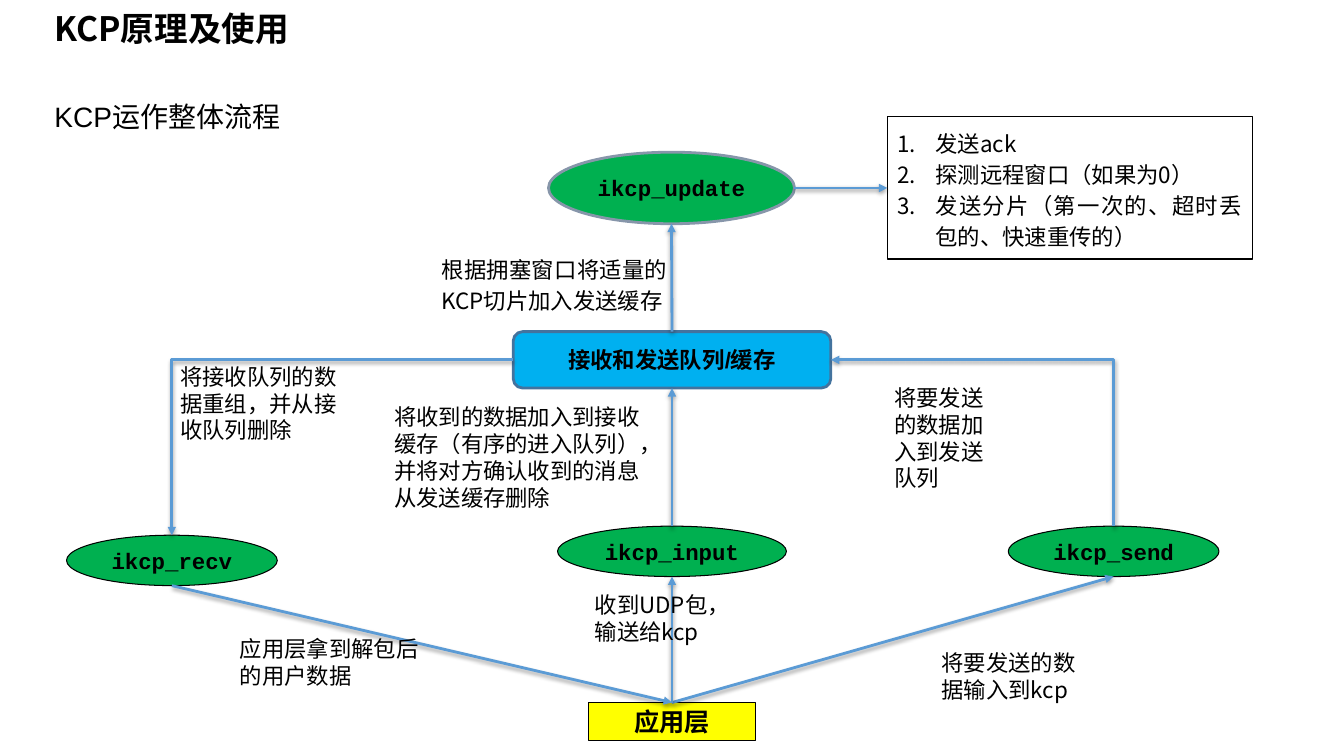
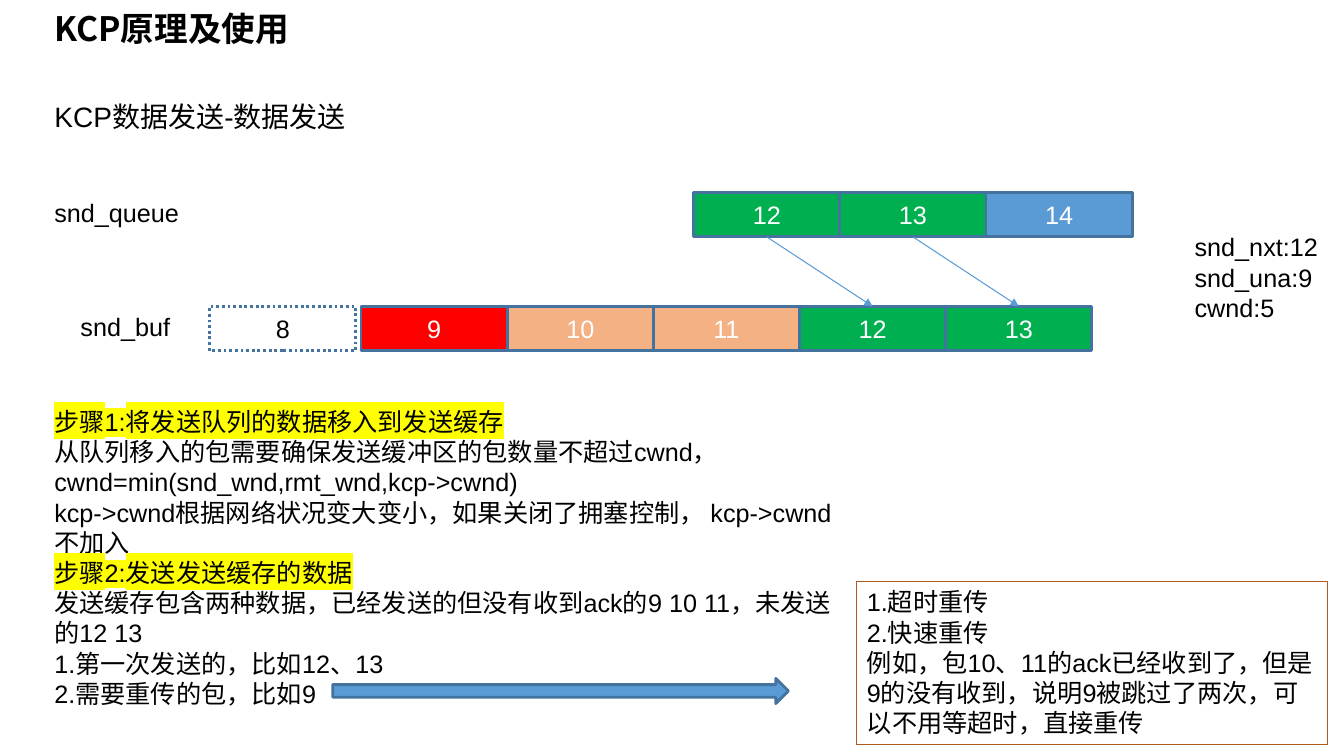
from lxml import etree
from pptx import Presentation
from pptx.dml.color import RGBColor
from pptx.enum.dml import MSO_LINE
from pptx.enum.lang import MSO_LANGUAGE_ID
from pptx.enum.shapes import MSO_CONNECTOR, MSO_SHAPE
from pptx.enum.text import MSO_ANCHOR, MSO_AUTO_SIZE, PP_ALIGN
from pptx.oxml import parse_xml
from pptx.oxml.ns import qn
from pptx.util import Inches, Pt

RECT, ROUND = MSO_SHAPE.RECTANGLE, MSO_SHAPE.ROUNDED_RECTANGLE
OVAL, ARROW = MSO_SHAPE.OVAL, MSO_SHAPE.RIGHT_ARROW
LINE, ELBOW = MSO_CONNECTOR.STRAIGHT, MSO_CONNECTOR.ELBOW
LEFT, CENTER, JUST = PP_ALIGN.LEFT, PP_ALIGN.CENTER, PP_ALIGN.JUSTIFY
TOP, MIDDLE = MSO_ANCHOR.TOP, MSO_ANCHOR.MIDDLE
FIXED = MSO_AUTO_SIZE.NONE
DOTS = MSO_LINE.ROUND_DOT
CHINESE = MSO_LANGUAGE_ID.SIMPLIFIED_CHINESE
NORTH, WEST, SOUTH, EAST = range(4)

BLACK = RGBColor(0x00, 0x00, 0x00)
WHITE = RGBColor(0xFF, 0xFF, 0xFF)
GREEN = RGBColor(0x00, 0xB0, 0x50)
YELLOW = RGBColor(0xFF, 0xFF, 0x00)
SKY = RGBColor(0x00, 0xB0, 0xF0)
BLUE = RGBColor(0x5B, 0x9B, 0xD5)
NAVY = RGBColor(0x43, 0x73, 0x9E)
GREY = RGBColor(0x87, 0x96, 0xAA)
RED = RGBColor(0xFF, 0x00, 0x00)
PEACH = RGBColor(0xF4, 0xB1, 0x83)
BROWN = RGBColor(0xAF, 0x5C, 0x24)

SANS, HAN, MONO = "Arial", "Noto Sans CJK SC", "Courier New"
NS = 'xmlns:a="http://schemas.openxmlformats.org/drawingml/2006/main"'
SHADOW = (f'<a:effectLst {NS}><a:outerShdw blurRad="40000" dist="20000" '
          'dir="5400000" rotWithShape="0"><a:srgbClr val="000000">'
          '<a:alpha val="38000"/></a:srgbClr></a:outerShdw></a:effectLst>')
FLAT = f"<a:effectLst {NS}/>"

TITLE = "KCP原理及使用"

# name: (preset, place, fill, line, line width, text, font, size)
NODES = {
    "update": (OVAL, (5.44, 1.51, 2.44, 0.71), GREEN, GREY, 2,
               "ikcp_update", MONO, 16),
    "app": (RECT, (5.84, 6.97, 1.65, 0.38), YELLOW, BLACK, 0.75,
            "应用层", HAN, 18),
    "send": (OVAL, (10, 5.22, 2.09, 0.5), GREEN, BLACK, 0.75,
             "ikcp_send", MONO, 16),
    "input": (OVAL, (5.53, 5.22, 2.27, 0.5), GREEN, BLACK, 0.75,
              "ikcp_input", MONO, 16),
    "recv": (OVAL, (0.66, 5.31, 2.09, 0.5), GREEN, BLACK, 0.75,
             "ikcp_recv", MONO, 16),
    "queue": (ROUND, (5.09, 3.29, 3.15, 0.56), SKY, NAVY, 2,
              "接收和发送队列/缓存", SANS, 16),
}
TASKS = ["发送ack", "探测远程窗口（如果为0）",
         "发送分片（第一次的、超时丢包的、快速重传的）"]
TASK_BOX = (8.8, 1.16, 3.62, 1.41)

# start, side, end, side
FLOWS = [
    ("app", NORTH, "send", SOUTH),
    ("app", NORTH, "input", SOUTH),
    ("update", EAST, "tasks", WEST),
    ("queue", NORTH, "update", SOUTH),
    ("recv", SOUTH, "app", NORTH),
    ("input", NORTH, "queue", SOUTH),
]
# start, side, end, side, arrowhead
BENDS = [
    ("queue", WEST, "recv", NORTH, "tailEnd"),
    ("queue", EAST, "send", NORTH, "headEnd"),
]
LABELS = [
    ((5.8, 5.82, 1.42, 0.64), "收到UDP包，输送给kcp"),
    ((9.24, 6.39, 1.55, 0.64), "将要发送的数据输入到kcp"),
    ((2.28, 6.25, 2.13, 0.64), "应用层拿到解包后的用户数据"),
    ((8.77, 3.76, 1.22, 1.18), "将要发送的数据加入到发送队列"),
    ((3.81, 3.95, 2.75, 1.18),
     "将收到的数据加入到接收缓存（有序的进入队列），并将对方确认收到的消息从发送缓存删除"),
    ((1.69, 3.55, 1.85, 0.91), "将接收队列的数据重组，并从接收队列删除"),
]
WINDOW = ((4.28, 2.45, 2.44, 0.68), "根据拥塞窗口将适量的KCP切片加入发送缓存")

CELL_W, CELL_H = 1.45, 0.44
QUEUE = (6.88, 1.91, [("12", GREEN), ("13", GREEN), ("14", BLUE)])
BUFFER = (3.58, 3.04, [("9", RED), ("10", PEACH), ("11", PEACH),
                       ("12", GREEN), ("13", GREEN)])
ACKED = (2.08, 3.04, [("8", None)])
MOVES = [(0, 3), (1, 4)]
NAMES = [
    ((0.44, 1.91, 1.49, 0.4), ["snd_queue"]),
    ((0.7, 3.04, 1.1, 0.4), ["snd_buf"]),
    ((11.75, 2.25, 1.48, 1.01), ["snd_nxt:12", "snd_una:9", "cwnd:5"]),
]
STEPS = [
    "步骤1:将发送队列的数据移入到发送缓存",
    "从队列移入的包需要确保发送缓冲区的包数量不超过cwnd，"
    "cwnd=min(snd_wnd,rmt_wnd,kcp->cwnd)",
    "kcp->cwnd根据网络状况变大变小，如果关闭了拥塞控制， kcp->cwnd不加入",
    "步骤2:发送发送缓存的数据",
    "发送缓存包含两种数据，已经发送的但没有收到ack的9 10 11，未发送的12 13",
    "1.第一次发送的，比如12、13",
    "2.需要重传的包，比如9",
]
RESEND = [
    "1.超时重传",
    "2.快速重传",
    "例如，包10、11的ack已经收到了，但是9的没有收到，说明9被跳过了两次，可以不用等超时，直接重传",
]


def put(shape, box):
    shape.left, shape.top, shape.width, shape.height = map(Inches, box)


def write(shape, lines, size=16, font=HAN, color=BLACK, bold=False,
          align=LEFT, anchor=TOP, space=1.0, number=False, marked=()):
    """Set the paragraphs; those at the marked indexes are highlighted."""
    frame = shape.text_frame
    frame.word_wrap = True
    frame.auto_size = FIXED
    frame.vertical_anchor = anchor
    for i, line in enumerate([lines] if isinstance(lines, str) else lines):
        para = frame.paragraphs[0] if i == 0 else frame.add_paragraph()
        para.alignment, para.line_spacing = align, space
        para.space_before = para.space_after = Pt(0)
        props = para._p.get_or_add_pPr()
        indent = Inches(0.38) if number else 0
        props.set("marL", str(indent))
        props.set("indent", str(-indent))
        if number:
            bullet = etree.SubElement(props, qn("a:buAutoNum"))
            bullet.set("type", "arabicPeriod")
        else:
            etree.SubElement(props, qn("a:buNone"))
        run = para.add_run()
        run.text = line
        face = run.font
        face.size, face.bold, face.name = Pt(size), bold, font
        face.color.rgb = color
        face.language_id = CHINESE
        latin = face._element.find(qn("a:latin"))
        latin.addnext(parse_xml(f'<a:ea {NS} typeface="{HAN}"/>'))
        if i in marked:
            latin.addprevious(parse_xml(
                f'<a:highlight {NS}><a:srgbClr val="{YELLOW}"/></a:highlight>'))


def label(slide, box, lines, **look):
    shape = slide.shapes.add_textbox(*map(Inches, box))
    write(shape, lines, **look)
    return shape


def draw(slide, kind, box, fill, edge, width):
    shape = slide.shapes.add_shape(kind, *map(Inches, box))
    shape.shadow.inherit = False
    if fill is None:
        shape.fill.background()
    else:
        shape.fill.solid()
        shape.fill.fore_color.rgb = fill
    shape.line.color.rgb = edge
    shape.line.width = Pt(width)
    return shape


def spot(shape, side):
    """Return the middle of one side of the shape."""
    x, y = shape.left + shape.width // 2, shape.top + shape.height // 2
    return {NORTH: (x, shape.top), WEST: (shape.left, y),
            SOUTH: (x, shape.top + shape.height),
            EAST: (shape.left + shape.width, y)}[side]


def link(slide, start, out, end, into, kind=LINE, head="tailEnd", width=2,
         effect=SHADOW):
    conn = slide.shapes.add_connector(kind, *spot(start, out), *spot(end, into))
    # An oval numbers its sites differently: only the top one agrees.
    if start.auto_shape_type != OVAL or out == NORTH:
        conn.begin_connect(start, out)
    if end.auto_shape_type != OVAL or into == NORTH:
        conn.end_connect(end, into)
    conn.line.color.rgb = BLUE
    conn.line.width = Pt(width)
    etree.SubElement(conn.line._get_or_add_ln(), qn(f"a:{head}")).set(
        "type", "triangle")
    props = conn._element.spPr
    props.append(parse_xml(effect))
    if kind == ELBOW:
        props.find(qn("a:prstGeom")).set("prst", "bentConnector2")


def page(deck, topic, width):
    slide = deck.slides.add_slide(deck.slide_layouts[1])
    title, body = slide.shapes.title, slide.placeholders[1]
    put(title, (0.44, 0.07, 2.55, 0.46))
    write(title, TITLE, size=24, bold=True, space=0.9)
    put(body, (0.44, 0.94, width, 0.44))
    write(body, topic, size=20, font=SANS)
    return slide


def cells(slide, left, top, items):
    row = []
    for i, (text, fill) in enumerate(items):
        box = (left + i * CELL_W, top, CELL_W, CELL_H)
        cell = draw(slide, RECT, box, fill, NAVY, 2)
        write(cell, text, size=18, font=SANS, align=CENTER, anchor=MIDDLE,
              color=WHITE if fill else BLACK)
        row.append(cell)
    return row


def flow(deck):
    slide = page(deck, "KCP运作整体流程", 2.46)
    nodes = {}
    for name, (kind, box, fill, edge, width, text, font, size) in NODES.items():
        nodes[name] = draw(slide, kind, box, fill, edge, width)
        write(nodes[name], text, size=size, font=font, bold=True,
              align=CENTER, anchor=MIDDLE)
    nodes["tasks"] = draw(slide, RECT, TASK_BOX, None, BLACK, 0.75)
    write(nodes["tasks"], TASKS, align=JUST, anchor=MIDDLE, space=1.15,
          number=True)
    for start, out, end, into in FLOWS:
        link(slide, nodes[start], out, nodes[end], into)
    for start, out, end, into, head in BENDS:
        link(slide, nodes[start], out, nodes[end], into, ELBOW, head)
    for box, text in LABELS:
        label(slide, box, text)
    label(slide, *WINDOW, align=JUST, space=1.15)


def sending(deck):
    slide = page(deck, "KCP数据发送-数据发送", 3.12)
    cells(slide, *ACKED)[0].line.dash_style = DOTS
    queue, buffer = cells(slide, *QUEUE), cells(slide, *BUFFER)
    for i, j in MOVES:
        link(slide, queue[i], SOUTH, buffer[j], NORTH, width=0.75, effect=FLAT)
    for box, lines in NAMES:
        label(slide, box, lines, size=18, font=SANS)
    label(slide, (0.44, 3.98, 8.06, 3.13), STEPS, size=18, font=SANS,
          marked=(0, 3))
    draw(slide, ARROW, (3.3, 6.73, 4.52, 0.25), BLUE, NAVY, 2)
    note = label(slide, (8.5, 5.77, 4.67, 1.62), RESEND, size=18, font=SANS)
    note.line.color.rgb = BROWN
    note.line.width = Pt(0.75)


def main():
    deck = Presentation()
    deck.slide_width, deck.slide_height = Inches(13.33), Inches(7.5)
    flow(deck)
    sending(deck)
    deck.save("out.pptx")


if __name__ == "__main__":
    main()
